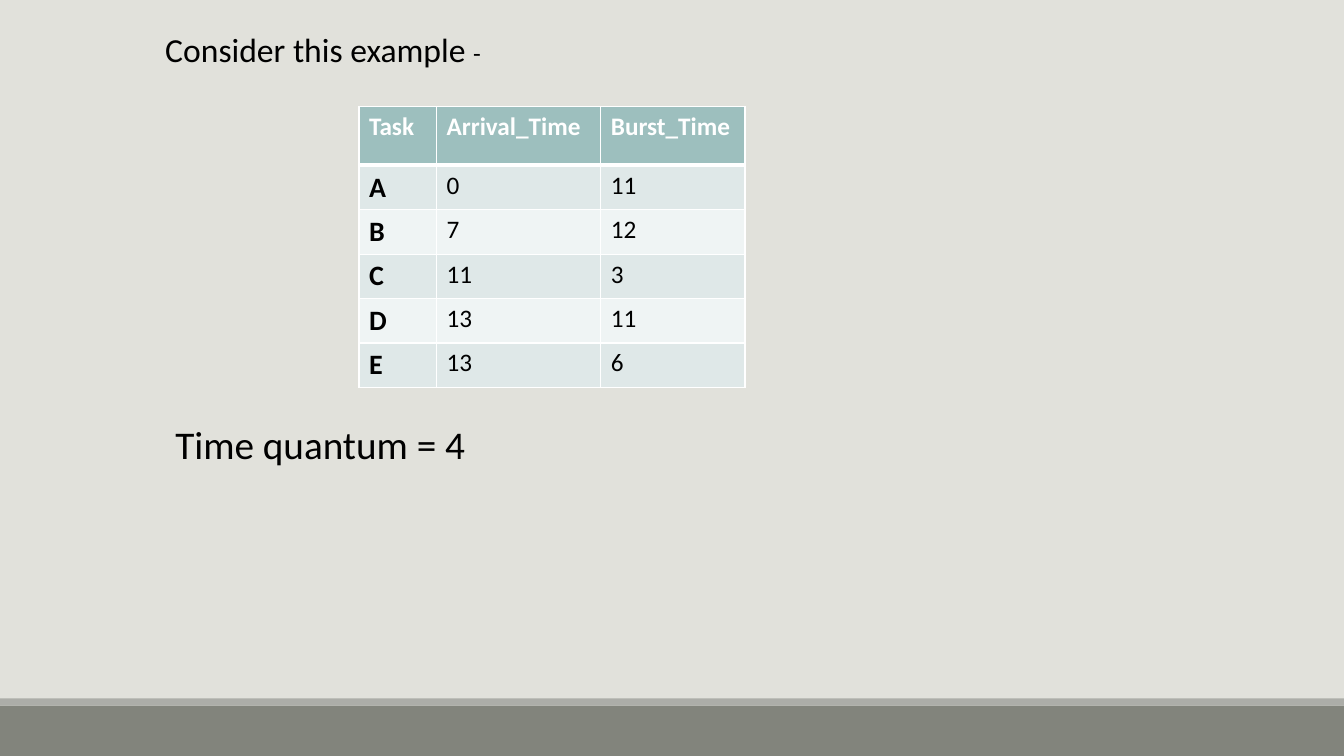
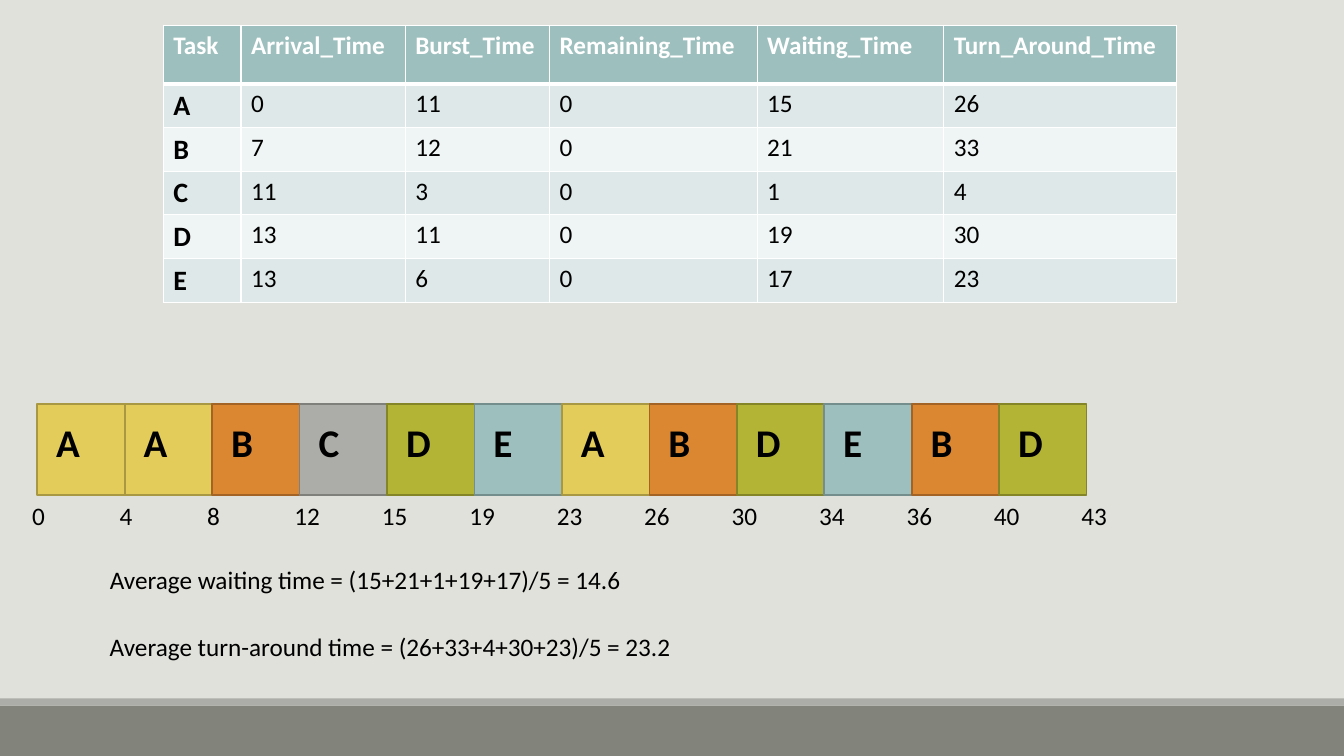
from dataclasses import dataclass

from lxml import etree
from pptx import Presentation
from pptx import slide as s
from pptx import table as t
from pptx.dml import color as c
from pptx.enum import shapes, text
from pptx.oxml import ns
from pptx.util import Inches, Pt

PAPER = c.RGBColor(0xE1, 0xE1, 0xDB)
BAND = c.RGBColor(0x82, 0x84, 0x7C)
SILVER = c.RGBColor(0xAC, 0xAD, 0xA8)
SILVER_EDGE = c.RGBColor(0x7F, 0x80, 0x7C)
YELLOW = c.RGBColor(0xE3, 0xCC, 0x5A)
YELLOW_EDGE = c.RGBColor(0xA8, 0x97, 0x43)
ORANGE = c.RGBColor(0xDB, 0x86, 0x31)
ORANGE_EDGE = c.RGBColor(0xA2, 0x63, 0x24)
GREEN = c.RGBColor(0xB3, 0xB4, 0x35)
GREEN_EDGE = c.RGBColor(0x84, 0x85, 0x27)
TEAL = c.RGBColor(0x9D, 0xBF, 0xBE)
TEAL_EDGE = c.RGBColor(0x74, 0x8D, 0x8D)
ROW_DARK = c.RGBColor(0xDF, 0xE8, 0xE8)
ROW_LIGHT = c.RGBColor(0xEF, 0xF4, 0xF4)
WHITE = c.RGBColor(0xFF, 0xFF, 0xFF)
BLACK = c.RGBColor(0x00, 0x00, 0x00)

FONT = "Calibri"
PAGE_WIDTH, PAGE_HEIGHT = 13.33, 7.5
HEADER_HEIGHT, ROW_HEIGHT = 0.58, 0.41


@dataclass(frozen=True)
class Area:
    left: float
    top: float
    width: float
    height: float


@dataclass(frozen=True)
class Span:
    words: str
    size: float
    bold: bool = False


@dataclass(frozen=True)
class Label:
    area: Area
    spans: tuple[Span, ...]


@dataclass(frozen=True)
class Column:
    heading: str
    width: float
    values: tuple[str, ...]


@dataclass(frozen=True)
class TaskColor:
    fill: c.RGBColor
    edge: c.RGBColor


BANDS = (
    (Area(0, 7, PAGE_WIDTH, 0.5), BAND),
    (Area(0, 6.93, PAGE_WIDTH, 0.07), SILVER),
)

TASK_COLUMNS = (
    Column("Task", 0.77, ("A", "B", "C", "D", "E")),
    Column("Arrival_Time", 1.63, ("0", "7", "11", "13", "13")),
    Column("Burst_Time", 1.43, ("11", "12", "3", "11", "6")),
)
RESULT_COLUMNS = (
    Column("Remaining_Time", 2.06, ("0",) * 5),
    Column("Waiting_Time", 1.85, ("15", "21", "1", "19", "17")),
    Column("Turn_Around_Time", 2.31, ("26", "33", "4", "30", "23")),
)

TASK_COLORS = {
    "A": TaskColor(YELLOW, YELLOW_EDGE),
    "B": TaskColor(ORANGE, ORANGE_EDGE),
    "C": TaskColor(SILVER, SILVER_EDGE),
    "D": TaskColor(GREEN, GREEN_EDGE),
    "E": TaskColor(TEAL, TEAL_EDGE),
}
SCHEDULE = "AABCDEABDEBD"
TIMES = (0, 4, 8, 12, 15, 19, 23, 26, 30, 34, 36, 40, 43)
FIRST_LEFT, LAST_LEFT = 0.37, 9.91
STEP = (LAST_LEFT - FIRST_LEFT) / (len(SCHEDULE) - 1)

EXAMPLE_LABELS = (
    Label(
        Area(1.54, 0.24, 3.39, 0.5),
        (Span("Consider this example ", 24), Span("- ", 18)),
    ),
    Label(Area(1.64, 4.12, 3.73, 0.57), (Span("Time quantum = 4", 28),)),
)
AVERAGE_LABELS = (
    Label(
        Area(0.99, 5.55, 7.29, 0.4),
        (Span("Average waiting time = (15+21+1+19+17)/5 = 14.6", 18),),
    ),
    Label(
        Area(0.99, 6.21, 5.9, 0.4),
        (Span("Average turn-around time = (26+33+4+30+23)/5 = 23.2", 18),),
    ),
)


def lengths(area: Area) -> tuple[Inches, ...]:
    return tuple(
        Inches(value) for value in (area.left, area.top, area.width, area.height)
    )


def style_font(font, size: float, bold: bool, color: c.RGBColor) -> None:
    font.name = FONT
    font.size = Pt(size)
    font.bold = bold
    font.color.rgb = color


def add_box(
    page: s.Slide, area: Area, fill: c.RGBColor, edge: c.RGBColor | None = None
) -> None:
    box = page.shapes.add_shape(shapes.MSO_SHAPE.RECTANGLE, *lengths(area))
    box.shadow.inherit = False
    box.fill.solid()
    box.fill.fore_color.rgb = fill
    if edge is None:
        box.line.fill.background()
    else:
        box.line.color.rgb = edge
        box.line.width = Pt(1.25)


def add_label(page: s.Slide, label: Label) -> None:
    box = page.shapes.add_textbox(*lengths(label.area))
    box.text_frame.word_wrap = True
    box.text_frame.auto_size = text.MSO_AUTO_SIZE.SHAPE_TO_FIT_TEXT
    para = box.text_frame.paragraphs[0]
    for span in label.spans:
        run = para.add_run()
        run.text = span.words
        style_font(run.font, span.size, span.bold, BLACK)


def add_borders(cell: t._Cell, top: float, bottom: float) -> None:
    properties = cell._tc.get_or_add_tcPr()
    widths = {"lnL": 1, "lnR": 1, "lnT": top, "lnB": bottom}
    for position, (side, width) in enumerate(widths.items()):
        line = etree.Element(ns.qn(f"a:{side}"), w=str(Pt(width)))
        fill = etree.SubElement(line, ns.qn("a:solidFill"))
        etree.SubElement(fill, ns.qn("a:srgbClr"), val=str(WHITE))
        properties.insert(position, line)


def fill_cell(cell: t._Cell, words: str, row: int, column: int) -> None:
    header = row == 0
    task = column == 0 and not header
    cell.text = words
    style_font(
        cell.text_frame.paragraphs[0].runs[0].font,
        20 if task else 18,
        header or task,
        WHITE if header else BLACK,
    )
    cell.fill.solid()
    cell.fill.fore_color.rgb = TEAL if header else (ROW_LIGHT, ROW_DARK)[row % 2]
    add_borders(cell, top=3 if row == 1 else 1, bottom=3 if header else 1)


def add_task_table(
    page: s.Slide, left: float, top: float, columns: tuple[Column, ...]
) -> None:
    count = len(columns[0].values) + 1
    width = sum(column.width for column in columns)
    height = HEADER_HEIGHT + ROW_HEIGHT * (count - 1)
    frame = page.shapes.add_table(
        count, len(columns), *lengths(Area(left, top, width, height))
    )
    table = frame.table
    for row in range(count):
        table.rows[row].height = Inches(ROW_HEIGHT if row else HEADER_HEIGHT)
    for index, column in enumerate(columns):
        table.columns[index].width = Inches(column.width)
        for row, words in enumerate((column.heading, *column.values)):
            fill_cell(table.cell(row, index), words, row, index)


def add_schedule(page: s.Slide) -> None:
    for index, task in enumerate(SCHEDULE):
        left = FIRST_LEFT + index * STEP
        color = TASK_COLORS[task]
        add_box(page, Area(left, 4.01, STEP, 0.9), color.fill, color.edge)
        name = Span(task, 28, bold=True)
        add_label(page, Label(Area(left + 0.09, 4.1, 0.66, 0.57), (name,)))
    for index, time in enumerate(TIMES):
        left = FIRST_LEFT - 0.15 + index * STEP
        add_label(page, Label(Area(left, 4.91, 0.58, 0.4), (Span(str(time), 18),)))


def add_page(deck) -> s.Slide:
    page = deck.slides.add_slide(deck.slide_layouts[6])
    for area, color in BANDS:
        add_box(page, area, color)
    return page


def build_example(deck) -> None:
    page = add_page(deck)
    add_task_table(page, 3.56, 1.06, TASK_COLUMNS)
    for label in EXAMPLE_LABELS:
        add_label(page, label)


def build_result(deck) -> None:
    page = add_page(deck)
    add_task_table(page, 1.62, 0.25, TASK_COLUMNS + RESULT_COLUMNS)
    add_schedule(page)
    for label in AVERAGE_LABELS:
        add_label(page, label)


def main() -> None:
    deck = Presentation()
    deck.slide_width = Inches(PAGE_WIDTH)
    deck.slide_height = Inches(PAGE_HEIGHT)
    background = deck.slide_master.background.fill
    background.solid()
    background.fore_color.rgb = PAPER
    build_example(deck)
    build_result(deck)
    deck.save("out.pptx")


main()
